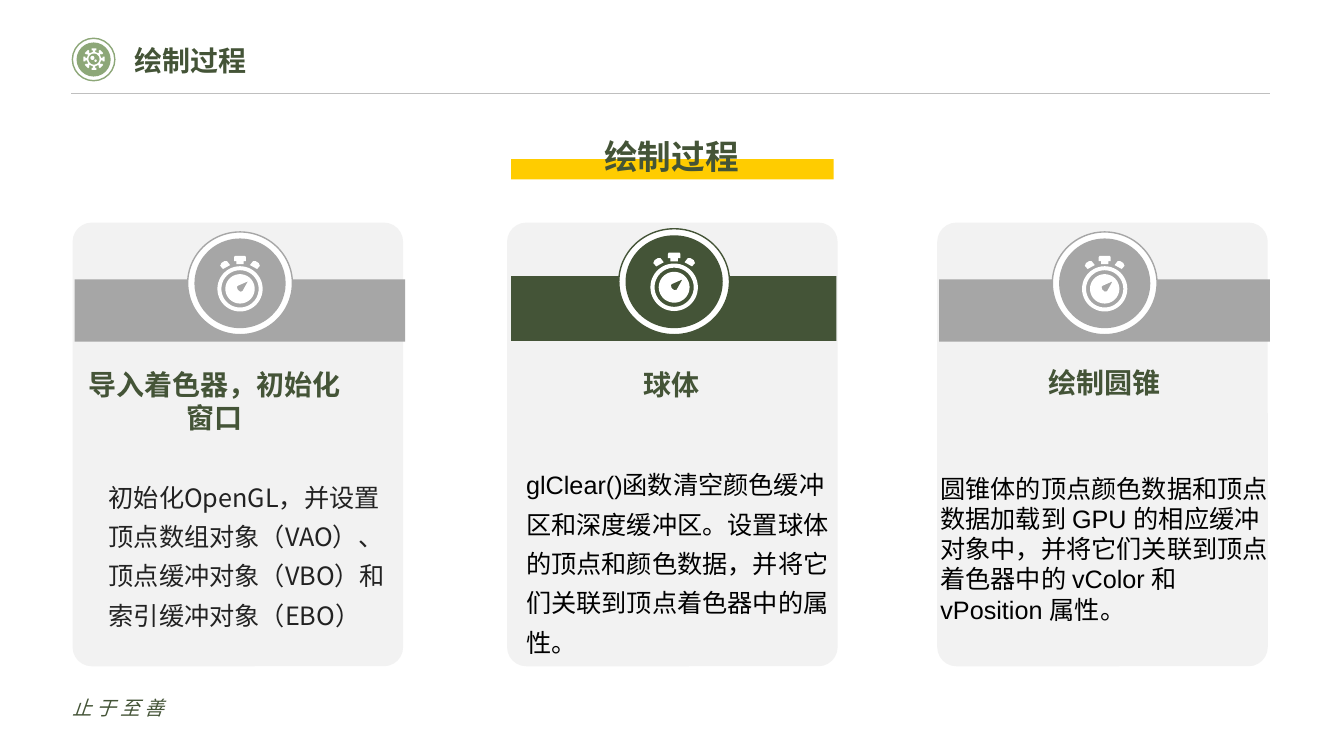
import dataclasses
import math
import typing

import pptx
import pptx.dml.color
import pptx.enum.shapes
import pptx.enum.text
import pptx.oxml.ns
import pptx.util
from lxml import etree

Cm = pptx.util.Cm
Kind = pptx.enum.shapes.MSO_SHAPE
Align = pptx.enum.text.PP_ALIGN
Anchor = pptx.enum.text.MSO_ANCHOR
qn = pptx.oxml.ns.qn

Box = typing.Tuple[float, float, float, float]
Points = typing.List[typing.Tuple[float, float]]

GREEN, SAGE, GREY, WHITE = "445437", "8DA778", "A6A6A6", "FFFFFF"
NOTO, ARIAL = "Noto Sans CJK SC", "Arial"

deck = pptx.Presentation()
deck.slide_width, deck.slide_height = Cm(33.87), Cm(19.05)
slide = deck.slides.add_slide(deck.slide_layouts[6])
shapes = slide.shapes


@dataclasses.dataclass
class Badge:
    x: float
    y: float
    wide: float
    high: float
    scale: float = 1.0


@dataclasses.dataclass
class Card:
    left: float
    band: Box
    tint: str
    badge: Badge
    head: str
    head_box: Box
    body: str
    body_box: Box
    font: str = ARIAL
    ink: str = "000000"
    gap: typing.Optional[float] = None


def color(code: str) -> pptx.dml.color.RGBColor:
    return pptx.dml.color.RGBColor.from_string(code)


def paint(shape, fill: typing.Optional[str], line: typing.Optional[str] = None) -> None:
    shape.shadow.inherit = False
    if fill:
        shape.fill.solid()
        shape.fill.fore_color.rgb = color(fill)
    else:
        shape.fill.background()
    if line:
        shape.line.color.rgb = color(line)
        shape.line.width = pptx.util.Pt(1)
    else:
        shape.line.fill.background()


def block(kind, box: Box, fill: str, bend: typing.Optional[float] = None) -> None:
    shape = shapes.add_shape(kind, *map(Cm, box))
    paint(shape, fill)
    if bend is not None:
        shape.adjustments[0] = bend


def disc(x: float, y: float, wide: float, high: float,
         fill: typing.Optional[str], line: typing.Optional[str] = None) -> None:
    """Draw an ellipse around its centre."""
    box = (x - wide / 2, y - high / 2, wide, high)
    paint(shapes.add_shape(Kind.OVAL, *map(Cm, box)), fill, line)


def write(text: str, box: Box, *, size: float, font: str = NOTO, ink: str = GREEN,
          bold: bool = False, italic: bool = False, align=Align.LEFT,
          anchor=Anchor.TOP, gap: typing.Optional[float] = None,
          track: int = 0) -> None:
    frame = shapes.add_textbox(*map(Cm, box)).text_frame
    frame.word_wrap = True
    frame.vertical_anchor = anchor
    frame.margin_left = frame.margin_right = 0
    frame.margin_top = frame.margin_bottom = Cm(0.13)
    para = frame.paragraphs[0]
    para.alignment = align
    if gap:
        para.line_spacing = gap
    run = para.add_run()
    run.text = text
    style = run.font
    style.name, style.size = font, pptx.util.Pt(size)
    style.bold, style.italic = bold, italic
    style.color.rgb = color(ink)
    props = run._r.get_or_add_rPr()
    if track:
        props.set("spc", str(track))
    etree.SubElement(props, qn("a:ea")).set("typeface", NOTO)


def ring(radius: float, x: float = 0, y: float = 0, count: int = 48) -> Points:
    turns = [2 * math.pi * i / count for i in range(count)]
    return [(x + radius * math.cos(t), y + radius * math.sin(t)) for t in turns]


def icon(parts: typing.List[Points], x: float, y: float, scale: float = 1) -> None:
    """Draw closed outlines around a centre as one white shape."""
    pen = None
    for part in parts:
        spots = [(Cm(x + scale * a), Cm(y + scale * b)) for a, b in part]
        if pen is None:
            pen = shapes.build_freeform(*spots[0])
        else:
            pen.move_to(*spots[0])
        pen.add_line_segments(spots[1:], close=True)
    paint(pen.convert_to_shape(), WHITE)


def gear() -> typing.List[Points]:
    tooth = [(-0.03, 0.18), (-0.03, 0.22), (-0.06, 0.22), (-0.06, 0.27),
             (0.06, 0.27), (0.06, 0.22), (0.03, 0.22), (0.03, 0.18)]
    rim = []
    for i in range(8):
        c, s = math.cos(i * math.pi / 4), math.sin(i * math.pi / 4)
        rim += [(a * c + b * s, b * c - a * s) for a, b in tooth]
    return [rim, ring(0.14), ring(0.05, -0.04, -0.03), ring(0.03, 0.04, 0.04)]


def watch() -> typing.List[Points]:
    hand = [(0.2, -0.19), (-0.05, -0.08), (-0.08, -0.05), (-0.06, 0.02),
            (0, 0.07), (0.06, 0.06)]
    knob = [(-0.33, -0.7), (-0.25, -0.6), (-0.43, -0.5), (-0.5, -0.58),
            (-0.47, -0.65), (-0.39, -0.7)]
    half = [(0.13, -0.83), (0.15, -0.8), (0.15, -0.7), (0.09, -0.7), (0.09, -0.62)]
    crown = half + [(-a, b) for a, b in reversed(half)]
    return [hand, ring(0.37), ring(0.47), ring(0.57), knob,
            [(-a, b) for a, b in knob], crown]


def draw(card: Card) -> None:
    block(Kind.ROUNDED_RECTANGLE, (card.left, 5.61, 8.33, 11.18), "F2F2F2", 0.058)
    block(Kind.ROUNDED_RECTANGLE, card.band, card.tint, 0)
    spot = card.badge
    disc(spot.x, spot.y, spot.wide, spot.high, WHITE, card.tint)
    disc(spot.x, spot.y, spot.wide - 0.34, spot.high - 0.33, card.tint)
    icon(watch(), spot.x, spot.y + 0.14, spot.scale)
    write(card.head, card.head_box, size=20, font=ARIAL, bold=True, align=Align.CENTER)
    write(card.body, card.body_box, size=18, font=card.font, ink=card.ink, gap=card.gap)


CARDS = [
    Card(1.83, (1.88, 7.04, 8.33, 1.57), GREY, Badge(6.05, 7.14, 2.64, 2.59),
         "导入着色器，初始化窗口", (2.16, 9.12, 6.5, 1.96),
         "初始化OpenGL，并设置顶点数组对象（VAO）、顶点缓冲对象（VBO）和索引缓冲对象（EBO）",
         (2.74, 11.79, 7.42, 4.27), font=NOTO, ink="222222", gap=1.3),
    Card(12.78, (12.88, 6.96, 8.2, 1.63), GREEN, Badge(16.99, 7.1, 2.79, 2.67, 1.05),
         "球体", (13.64, 9.12, 6.58, 1.12),
         "glClear()函数清空颜色缓冲区和深度缓冲区。设置球体的顶点和颜色数据，"
         "并将它们关联到顶点着色器中的属性。",
         (13.26, 11.48, 7.87, 5.26), gap=1.3),
    Card(23.62, (23.67, 7.04, 8.33, 1.57), GREY, Badge(27.84, 7.14, 2.64, 2.59),
         "绘制圆锥", (24.77, 9.07, 6.12, 1.12),
         "圆锥体的顶点颜色数据和顶点数据加载到 GPU 的相应缓冲对象中，"
         "并将它们关联到顶点着色器中的 vColor 和 vPosition 属性。",
         (23.7, 11.79, 8.26, 4.11)),
]


def main() -> None:
    disc(2.36, 1.5, 1.07, 1.07, None, SAGE)
    disc(2.36, 1.5, 0.86, 0.86, SAGE)
    icon(gear(), 2.37, 1.49)
    rule = shapes.add_connector(pptx.enum.shapes.MSO_CONNECTOR.STRAIGHT,
                                Cm(1.8), Cm(2.36), Cm(32), Cm(2.36))
    rule.line.color.rgb = color("BFBFBF")
    rule.line.width = pptx.util.Pt(0.5)
    etree.SubElement(rule._element.spPr, qn("a:effectLst"))
    write("绘制过程", (3.38, 0.97, 24.79, 1.12), size=20, bold=True)
    write("止于至善", (1.83, 17.32, 9.3, 1.02), size=14, italic=True,
          anchor=Anchor.MIDDLE, track=300)
    block(Kind.RECTANGLE, (12.88, 4.01, 8.13, 0.51), "FFCC00")
    write("绘制过程", (10.97, 3.3, 11.91, 1.3), size=24, bold=True, align=Align.CENTER)
    for card in CARDS:
        draw(card)
    deck.save("out.pptx")


if __name__ == "__main__":
    main()
